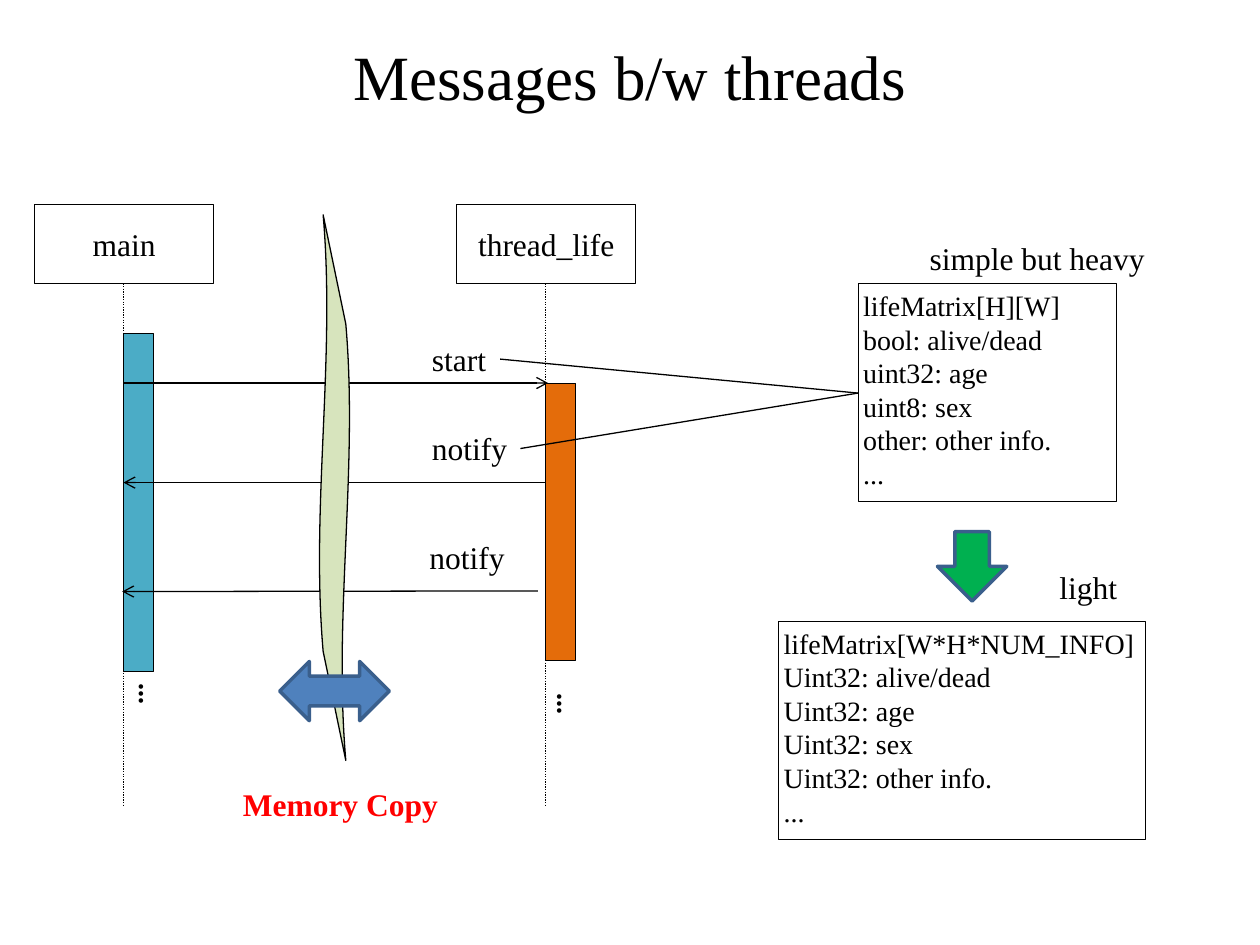
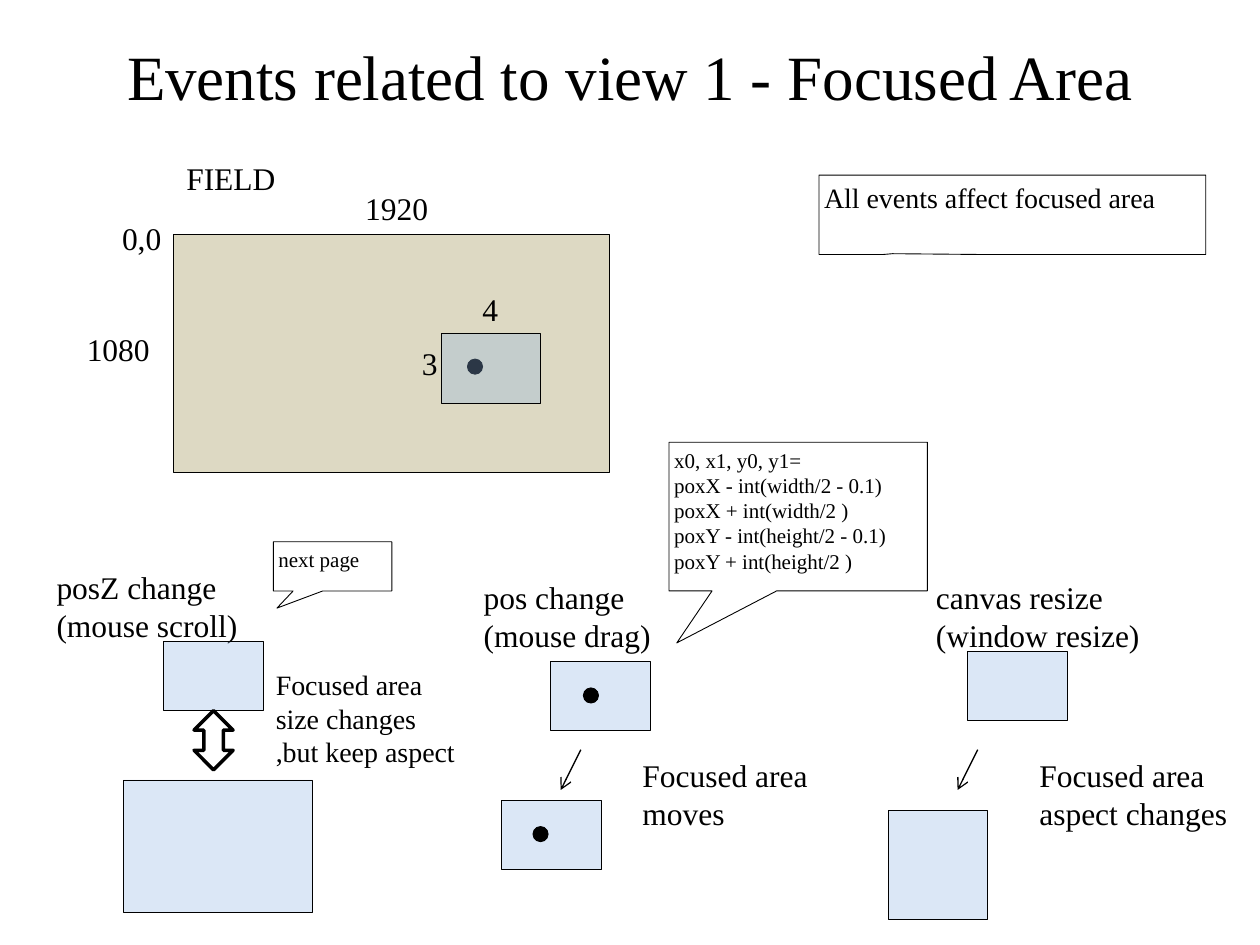
from lxml import etree
from pptx import Presentation
from pptx.dml.color import RGBColor
from pptx.enum.dml import MSO_LINE
from pptx.enum.shapes import MSO_CONNECTOR, MSO_SHAPE
from pptx.enum.text import MSO_ANCHOR, MSO_AUTO_SIZE, PP_ALIGN
from pptx.oxml.ns import qn
from pptx.util import Inches, Pt

RECTANGLE, OVAL, CALLOUT = MSO_SHAPE.RECTANGLE, MSO_SHAPE.OVAL, MSO_SHAPE.RECTANGULAR_CALLOUT
DOWN, SIDEWAYS, UP_DOWN = MSO_SHAPE.DOWN_ARROW, MSO_SHAPE.LEFT_RIGHT_ARROW, MSO_SHAPE.UP_DOWN_ARROW
WAVE, STRAIGHT, DOTTED = MSO_SHAPE.WAVE, MSO_CONNECTOR.STRAIGHT, MSO_LINE.ROUND_DOT
LEFT, CENTER = PP_ALIGN.LEFT, PP_ALIGN.CENTER
TOP, MIDDLE = MSO_ANCHOR.TOP, MSO_ANCHOR.MIDDLE
GROW = MSO_AUTO_SIZE.SHAPE_TO_FIT_TEXT

BLACK = RGBColor(0x00, 0x00, 0x00)
WHITE = RGBColor(0xFF, 0xFF, 0xFF)
RED = RGBColor(0xFF, 0x00, 0x00)
TEAL = RGBColor(0x4B, 0xAC, 0xC6)
ORANGE = RGBColor(0xE4, 0x6C, 0x0A)
GREEN = RGBColor(0x00, 0xB0, 0x50)
PALE_GREEN = RGBColor(0xD7, 0xE4, 0xBD)
BLUE = RGBColor(0x4F, 0x81, 0xBD)
DARK_BLUE = RGBColor(0x3A, 0x5F, 0x8C)
LIGHT_BLUE = RGBColor(0x8E, 0xB4, 0xE3)
SAND = RGBColor(0xDD, 0xD9, 0xC3)
FONT = "Times New Roman"

deck = Presentation()
deck.slide_width, deck.slide_height = Inches(10), Inches(7.5)
# The grid has 100 columns and 75 rows
COLUMN, ROW = deck.slide_width / 100, deck.slide_height / 75


def add_block(page, kind, cell, text="", size=18, fill=WHITE, line=BLACK, weight=0.5,
              color=BLACK, bold=False, align=LEFT, anchor=TOP, wrap=True,
              turn=0, adjust=(), opacity=None):
    """Place a preset shape, or a text box when kind is None, on grid cells."""
    left, top, width, height = cell
    place = [int(left * COLUMN), int(top * ROW), int(width * COLUMN), int(height * ROW)]
    if kind is None:
        box = page.shapes.add_textbox(*place)
    else:
        box = page.shapes.add_shape(kind, *place)
        box.shadow.inherit = False
        box.fill.solid()
        box.fill.fore_color.rgb = fill
        box.line.color.rgb = line
        box.line.width = Pt(weight)
        for index, value in enumerate(adjust):
            box.adjustments[index] = value
        if opacity:
            tint = box.fill._xPr.find(".//" + qn("a:srgbClr"))
            etree.SubElement(tint, qn("a:alpha"), val=str(opacity * 1000))
    box.rotation = turn
    if text:
        frame = box.text_frame
        frame.text = text
        frame.word_wrap = wrap
        frame.vertical_anchor = anchor
        if kind is None:
            frame.auto_size = GROW
        else:
            frame.margin_left = frame.margin_right = Inches(0.04)
            frame.margin_top = frame.margin_bottom = Inches(0.04)
        for para in frame.paragraphs:
            para.alignment = align
            for span in para.runs:
                span.font.name, span.font.size = FONT, Pt(size)
                span.font.bold, span.font.color.rgb = bold, color


def add_line(page, start, end, arrow=False, dash=None):
    """Draw a thin line between two grid points, with an open arrow at its end."""
    line = page.shapes.add_connector(
        STRAIGHT, int(start[0] * COLUMN), int(start[1] * ROW),
        int(end[0] * COLUMN), int(end[1] * ROW))
    line.line.color.rgb = BLACK
    line.line.width = Pt(0.75)
    if dash:
        line.line.dash_style = dash
    if arrow:
        etree.SubElement(line.line._get_or_add_ln(), qn("a:tailEnd"), type="arrow")
    etree.SubElement(line._element.spPr, qn("a:effectLst"))


# Pages with their shared title style
pages = []
for heading in ("Messages b/w threads", "Events related to view 1 - Focused Area"):
    page = deck.slides.add_slide(deck.slide_layouts[5])
    title = page.shapes.title
    title.left, title.top = int(5 * COLUMN), int(-0.3 * ROW)
    title.width, title.height = int(90 * COLUMN), int(12.5 * ROW)
    title.text_frame.text = heading
    title.text_frame.vertical_anchor = MIDDLE
    para = title.text_frame.paragraphs[0]
    para.alignment = CENTER
    font = para.runs[0].font
    font.name, font.size, font.color.rgb = FONT, Pt(36), BLACK
    pages.append(page)
threads, events = pages

# Threads: actors and lifelines
MAIN, LIFE = 9.8, 43.3
add_block(threads, RECTANGLE, (MAIN, 26.5, 2.4, 26.8), fill=TEAL)
for name, middle in (("main", MAIN), ("thread_life", LIFE)):
    add_block(threads, RECTANGLE, (middle - 7.05, 16.2, 14.2, 6.3), name,
              align=CENTER, anchor=MIDDLE)
    add_line(threads, (middle, 22.5), (middle, 63.9), dash=DOTTED)

# Threads: messages
for name, start, end, label in (
        ("start", (MAIN, 30.4), (43.5, 30.4), (33.3, 26.5, 6.4, 4)),
        ("notify", (43.5, 38.3), (MAIN, 38.3), (33.3, 33.6, 8.1, 4)),
        ("notify", (42.7, 46.9), (9.7, 46.95), (33.1, 42.2, 8.1, 4))):
    add_line(threads, start, end, arrow=True)
    add_block(threads, None, label, name, wrap=False)
add_block(threads, RECTANGLE, (LIFE, 30.4, 2.4, 22), fill=ORANGE)
for left, top in ((9.5, 53.8), (42.7, 54.6)):
    add_block(threads, None, (left, top, 4.8, 3.7), "...", 16, bold=True, turn=90)

# Threads: message contents, heavy and light
for start in ((39.7, 28.5), (41.3, 35.6)):
    add_line(threads, start, (68.1, 31.2))
for cell, lines in (
        ((68.1, 22.5, 20.5, 17.3),
         ("lifeMatrix[H][W]", "bool: alive/dead", "uint32: age", "uint8: sex",
          "other: other info.", "...")),
        ((61.8, 49.3, 29.1, 17.3),
         ("lifeMatrix[W*H*NUM_INFO]", "Uint32: alive/dead", "Uint32: age", "Uint32: sex",
          "Uint32: other info.", "..."))):
    add_block(threads, RECTANGLE, cell, "\n".join(lines), 16)
add_block(threads, DOWN, (74.4, 42.2, 5.5, 5.5), fill=GREEN, line=DARK_BLUE, weight=2)
add_block(threads, None, (72.8, 18.5, 19.3, 4), "simple but heavy", wrap=False)
add_block(threads, None, (83.1, 44.6, 6.6, 4), "light", wrap=False)

# Threads: memory boundary
add_block(threads, WAVE, (4.9, 37.5, 43.3, 2.4), fill=PALE_GREEN, weight=0.75,
          turn=270, adjust=(0.125, -0.1))
add_block(threads, SIDEWAYS, (22.2, 52.5, 8.7, 4.7), fill=BLUE, line=DARK_BLUE, weight=2)
add_block(threads, None, (18.3, 61.8, 17.7, 4), "Memory Copy", color=RED, bold=True,
          wrap=False)

# Events: headings and results of the three changes
for cell, text in (((3.5, 44.6, 16.5, 7.1), "posZ change\n(mouse scroll)"),
                   ((37.4, 45.4, 15.4, 7.1), "pos change\n(mouse drag)"),
                   ((73.3, 45.4, 18.4, 7.1), "canvas resize\n(window resize)")):
    add_block(events, None, cell, text, wrap=False)
for cell, text, size in (
        ((20.9, 52.5, 16.5, 9.4), "Focused area size changes\n,but keep aspect", 16),
        ((50, 59.5, 16.5, 7.1), "Focused area moves", 18),
        ((81.5, 59.5, 18.5, 7.1), "Focused area aspect changes", 18)):
    add_block(events, None, cell, text, size)

# Events: focused areas before and after each change
for cell in ((13, 50.9, 7.9, 5.5), (9.8, 61.9, 15, 10.5),
             (43.7, 52.5, 7.9, 5.5), (39.8, 63.5, 7.9, 5.5),
             (76.8, 51.7, 7.9, 5.5), (70.5, 64.3, 7.9, 8.7)):
    add_block(events, RECTANGLE, cell, fill=LIGHT_BLUE, opacity=31)
add_block(events, UP_DOWN, (15.4, 56.4, 3.1, 4.7), weight=2)
for left in (46.1, 77.6):
    add_line(events, (left, 59.5), (left - 1.6, 62.7), arrow=True)

# Events: the field, the centre points and the focused area in the field
add_block(events, RECTANGLE, (13.8, 18.6, 34.6, 18.9), fill=SAND)
for left, top in ((46.3, 54.6), (42.3, 65.6), (37.1, 28.5)):
    add_block(events, OVAL, (left, top, 1.2, 1.2), fill=BLACK)
add_block(events, RECTANGLE, (35, 26.5, 7.9, 5.5), fill=LIGHT_BLUE, opacity=31)
for text, left, top, width in (
        ("FIELD", 13.8, 12.1, 9.2), ("1920", 28, 14.5, 7.1), ("1080", 5.9, 25.7, 7.1),
        ("0,0", 8.7, 16.9, 5.2), ("4", 37.3, 22.5, 3.3), ("3", 32.5, 26.8, 3.3)):
    add_block(events, None, (left, top, width, 4), text, wrap=False)

# Events: callouts
formulas = ("x0, x1, y0, y1=", "poxX - int(width/2 - 0.1)", "poxX + int(width/2 )",
            "poxY - int(height/2 - 0.1)", "poxY + int(height/2 )")
for cell, text, size, tip in (
        ((53.1, 35.1, 20.5, 11.8), "\n".join(formulas), 12, (-0.47, 0.85)),
        ((21.7, 43, 9.4, 3.9), "next page", 12, (-0.47, 0.85)),
        ((65, 13.9, 30.7, 6.3), "All events affect focused area", 16, (-0.31, 0.49))):
    add_block(events, CALLOUT, cell, text, size, adjust=tip)

deck.save("out.pptx")
